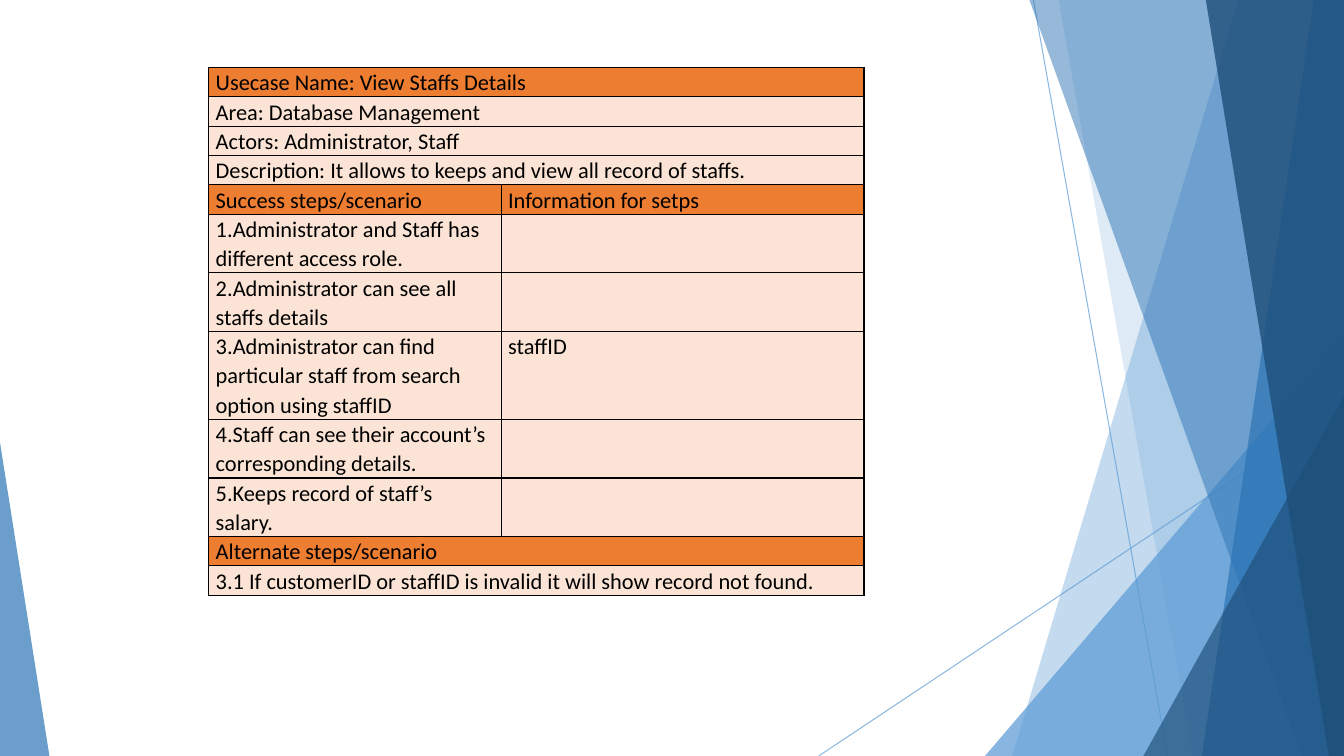
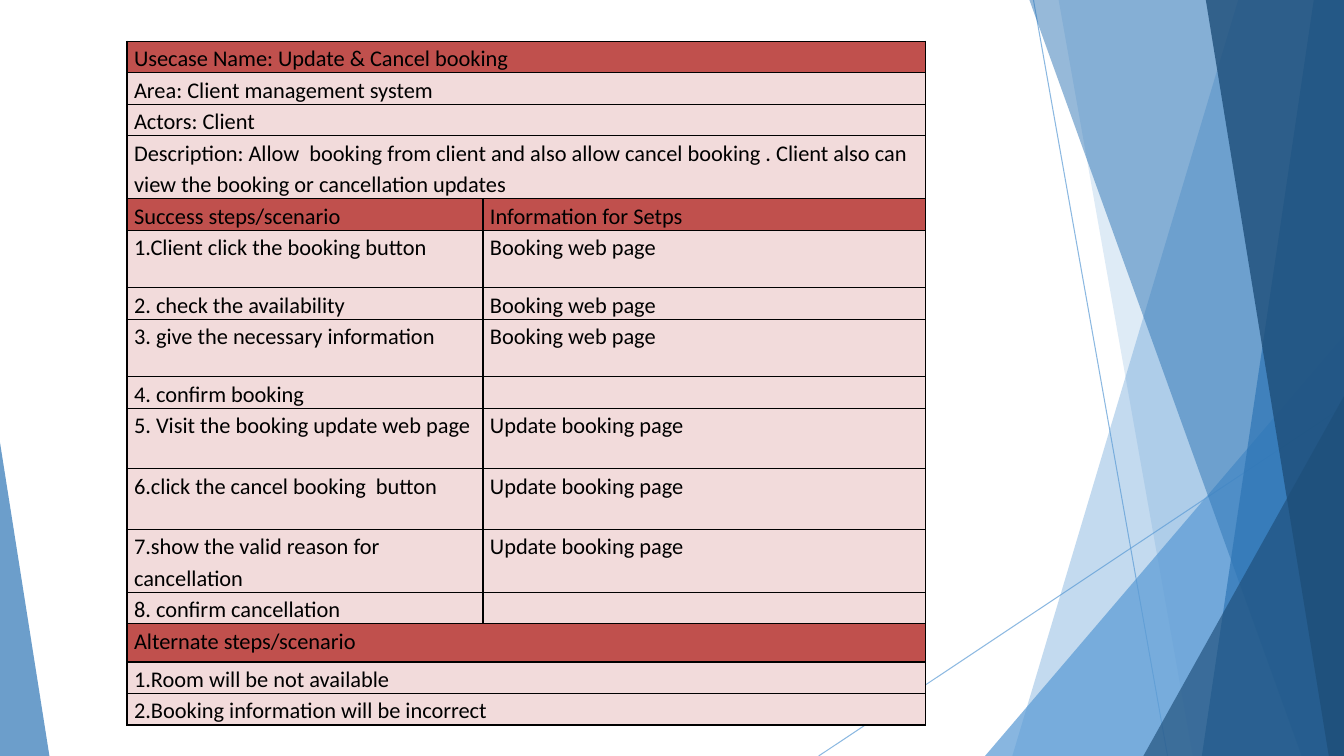
from pptx import Presentation
from pptx import util as u
from pptx.dml.color import RGBColor
from pptx.enum import shapes
from pptx.oxml.ns import qn
from lxml import etree

WIDTH, HEIGHT = 13.33, 7.5
FONT, TEXT_SIZE = "Calibri", 16
COLOURS = {
    "black": "000000", "sky": "5B9BD5", "blue": "2E75B5", "navy": "1E4E79",
    "orange": "ED7D31", "peach": "FBE4D5", "red": "C0504D", "pink": "F2DBDB",
}

# Backdrop, from back to front
LINES = [((10.25, 0), (11.58, HEIGHT)), ((WIDTH, 4.03), (8.12, HEIGHT))]
FACETS = [
    # blade: top x and bottom x of its left edge; it reaches the right side
    # triangle: left, top, width, apex position; it stands on the bottom
    ("blade", (12.28, 10.04), "sky", 36),
    ("blade", (10.5, 11.83), "sky", 20),
    ("triangle", (9.77, 3.33, 3.56, 1), "sky", 72),
    ("blade", (10.21, 12.91), "blue", 50),
    ("blade", (13.03, 11.92), "blue", 70),
    ("blade", (11.96, 13.18), "navy", 80),
    ("triangle", (11.34, 3.93, 1.99, 1), "navy", 66),
    ("triangle", (0, 4.39, 0.49, 0), "blue", 70),
]

# Use cases: each row is (texts, height); one text spans both columns
STEPS, ALTERNATE = "Success steps/scenario", "Alternate steps/scenario"
ONE, TWO, THREE = 0.29, 0.58, 0.87
LINE = 0.31
USE_CASES = [
    {
        "place": (2.07, 0.67), "columns": (2.9, 3.6), "spacing": 1.07,
        "header": "orange", "body": "peach",
        "rows": [
            (["Usecase Name: View Staffs Details"], ONE),
            (["Area: Database Management"], ONE),
            (["Actors: Administrator, Staff"], ONE),
            (["Description: It allows to keeps and view all record of staffs."], ONE),
            ([STEPS, "Information for setps"], ONE),
            (["1.Administrator and Staff has different access role.", ""], TWO),
            (["2.Administrator can see all staffs details", ""], TWO),
            (["3.Administrator can find particular staff from search option "
              "using staffID", "staffID"], THREE),
            (["4.Staff can see their account’s corresponding details.", ""], TWO),
            (["5.Keeps record of staff’s salary.", ""], TWO),
            ([ALTERNATE], ONE),
            (["3.1 If customerID or staffID is invalid it will show record "
              "not found."], ONE),
        ],
    },
    {
        "place": (1.26, 0.41), "columns": (3.53, 4.39), "spacing": 1.15,
        "header": "red", "body": "pink",
        "rows": [
            (["Usecase Name: Update & Cancel booking"], LINE),
            (["Area: Client management system"], LINE),
            (["Actors: Client"], LINE),
            (["Description: Allow  booking from client and also allow cancel "
              "booking . Client also can view the booking or cancellation "
              "updates"], 0.62),
            ([STEPS, "Information for Setps"], LINE),
            (["1.Client click the booking button", "Booking web page"], 0.57),
            (["2. check the availability", "Booking web page"], LINE),
            (["3. give the necessary information", "Booking web page"], 0.57),
            (["4. confirm booking", ""], LINE),
            (["5. Visit the booking update web page", "Update booking page"], 0.6),
            (["6.click the cancel booking  button", "Update booking page"], 0.6),
            (["7.show the valid reason for cancellation",
              "Update booking page"], 0.62),
            (["8. confirm cancellation", ""], LINE),
            ([ALTERNATE], 0.38),
            (["1.Room will be not available"], LINE),
            (["2.Booking information will be incorrect"], LINE),
        ],
    },
]


def colour(name):
    return RGBColor.from_string(COLOURS[name])


def set_opacity(shape, percent):
    for element in shape.element.iter(qn("a:srgbClr")):
        etree.SubElement(element, qn("a:alpha"), val=str(percent * 1000))


def add_line(slide, start, end):
    line = slide.shapes.add_connector(
        shapes.MSO_CONNECTOR.STRAIGHT, *map(u.Inches, start + end))
    line.line.color.rgb = colour("sky")
    line.line.width = u.Pt(0.75)
    etree.SubElement(line.element.spPr, qn("a:effectLst"))
    set_opacity(line, 70)
    return line


def add_facet(slide, kind, geometry, fill, opacity):
    if kind == "blade":
        top, bottom = geometry
        corners = [(WIDTH, 0), (WIDTH, HEIGHT), (bottom, HEIGHT)]
        builder = slide.shapes.build_freeform(u.Inches(top), 0)
        builder.add_line_segments(
            [(u.Inches(x), u.Inches(y)) for x, y in corners], close=True)
        facet = builder.convert_to_shape()
    else:
        left, top, width, apex = geometry
        facet = slide.shapes.add_shape(
            shapes.MSO_SHAPE.ISOSCELES_TRIANGLE,
            *map(u.Inches, (left, top, width, HEIGHT - top)))
        facet.adjustments[0] = apex
    facet.shadow.inherit = False
    facet.fill.solid()
    facet.fill.fore_color.rgb = colour(fill)
    facet.line.fill.background()
    set_opacity(facet, opacity)
    return facet


def move_backdrop_to_layout(slide, layout):
    """Draw the backdrop once, then let the layout carry it."""
    for placeholder in list(layout.placeholders):
        layout.shapes.element.remove(placeholder.element)
    backdrop = [add_line(slide, *ends) for ends in LINES]
    backdrop += [add_facet(slide, *facet) for facet in FACETS]
    for shape in backdrop:
        layout.shapes.element.append(shape.element)


def add_borders(cell):
    properties = cell._tc.get_or_add_tcPr()
    for side in ("a:lnL", "a:lnR", "a:lnT", "a:lnB"):
        border = etree.SubElement(properties, qn(side), w=str(u.Pt(1)))
        fill = etree.SubElement(border, qn("a:solidFill"))
        etree.SubElement(fill, qn("a:srgbClr"), val=COLOURS["black"])


def write_cell(cell, text, spacing):
    cell.margin_left = cell.margin_right = u.Inches(0.07)
    cell.margin_top = cell.margin_bottom = 0
    paragraph = cell.text_frame.paragraphs[0]
    paragraph.line_spacing = spacing
    if not text:  # keeps an empty cell as low as a line of text
        etree.SubElement(paragraph._p, qn("a:endParaRPr"), sz=str(TEXT_SIZE * 100))
        return
    run = paragraph.add_run()
    run.text = text
    run.font.name = FONT
    run.font.size = u.Pt(TEXT_SIZE)
    run.font.color.rgb = colour("black")


def add_use_case(slide, use_case):
    rows, columns = use_case["rows"], use_case["columns"]
    size = sum(columns), sum(height for _, height in rows)
    table = slide.shapes.add_table(
        len(rows), len(columns), *map(u.Inches, use_case["place"] + size)).table
    table.first_row = table.horz_banding = False
    for column, width in zip(table.columns, columns):
        column.width = u.Inches(width)
    for index, (texts, height) in enumerate(rows):
        table.rows[index].height = u.Inches(height)
        is_header = index == 0 or texts[0] in (STEPS, ALTERNATE)
        cells = list(table.rows[index].cells)
        for cell in cells:
            add_borders(cell)
            cell.fill.solid()
            cell.fill.fore_color.rgb = colour(use_case["header" if is_header else "body"])
        if len(texts) == 1:
            cells[0].merge(cells[-1])
        for cell, text in zip(cells, texts):
            write_cell(cell, text, use_case["spacing"])


def main():
    presentation = Presentation()
    presentation.slide_width = u.Inches(WIDTH)
    presentation.slide_height = u.Inches(HEIGHT)
    blank = presentation.slide_layouts[6]
    slides = [presentation.slides.add_slide(blank) for _ in USE_CASES]
    move_backdrop_to_layout(slides[0], blank)
    for slide, use_case in zip(slides, USE_CASES):
        add_use_case(slide, use_case)
    presentation.save("out.pptx")


if __name__ == "__main__":
    main()
